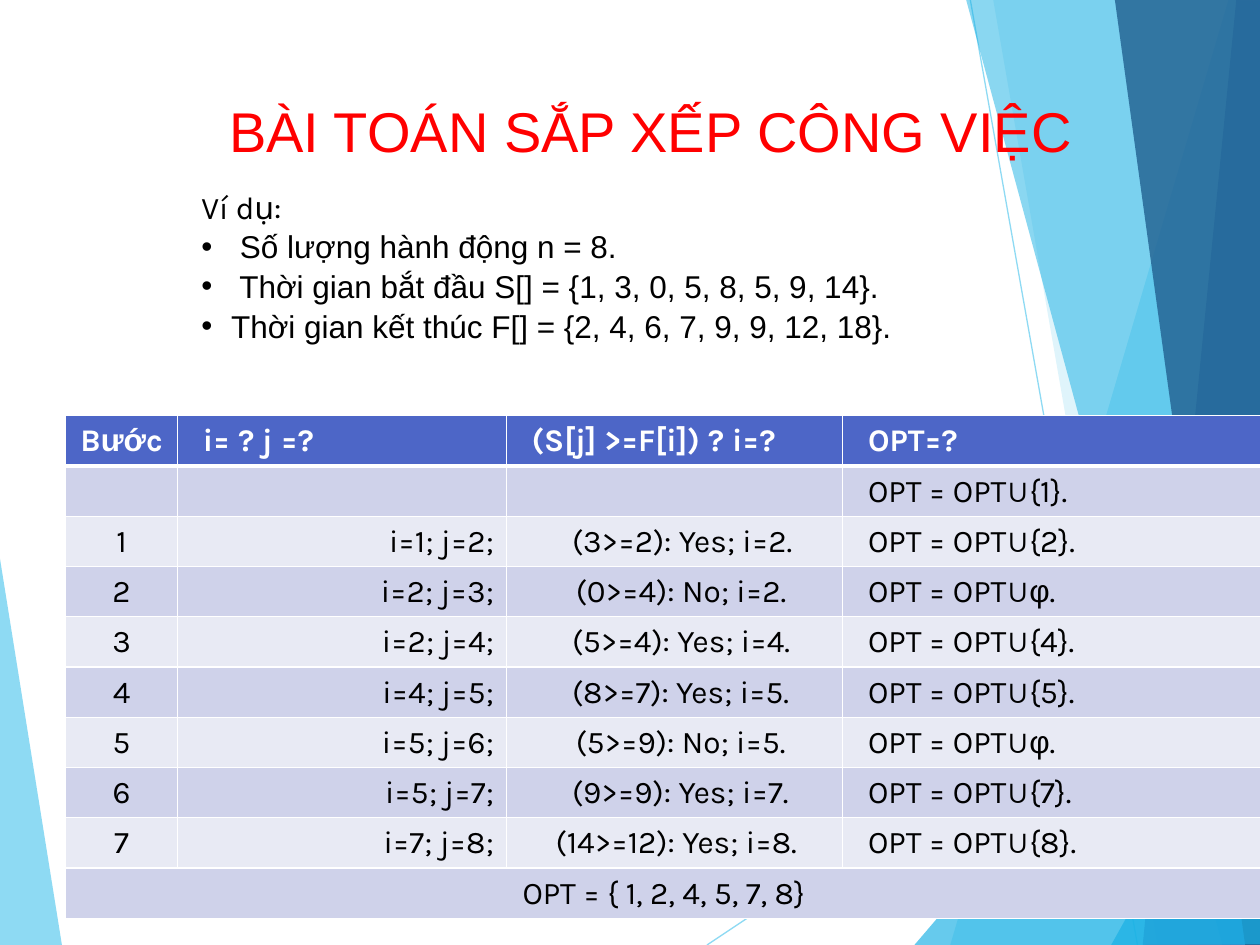
import itertools

import lxml.etree
import pptx
import pptx.dml.color
import pptx.enum.shapes
import pptx.enum.text
import pptx.oxml.ns
import pptx.util

Pt = pptx.util.Pt
Align = pptx.enum.text.PP_ALIGN
qn = pptx.oxml.ns.qn
add_xml = lxml.etree.SubElement


def colour(target, value, opacity=100):
    target.solid()
    target.fore_color.rgb = pptx.dml.color.RGBColor.from_string(value)
    if opacity < 100:
        node = next(page.shapes[-1].element.spPr.iter(qn("a:srgbClr")))
        add_xml(node, qn("a:alpha"), val=str(opacity * 1000))


def write(para, text, fallback, formats):
    for special, letters in itertools.groupby(text, lambda letter: letter in fallback):
        span = para.add_run()
        span.text = "".join(letters)
        for name, value in formats.items():
            if name == "color":
                colour(span.font.fill, value)
            else:
                setattr(span.font, name, value)
        if special:
            span.font.name = "Arial"


deck = pptx.Presentation()
deck.slide_width, deck.slide_height = Pt(720), Pt(540)
page = deck.slides.add_slide(deck.slide_layouts[6])

facets = [
    ("5FCBEF", 70, [(-0.5, 316), (35.5, 540.5), (-0.5, 540)]),
    ("5FCBEF", 70, [(404, 540), (720.5, 329)]),
    ("5FCBEF", 70, [(554.5, 0), (650, 540)]),
    ("5FCBEF", 36, [(702, 0), (543, 540), (721, 540.5), (720.5, 0.5)]),
    ("5FCBEF", 20, [(567.5, -0.5), (661.5, 540), (720.5, 540), (720.5, -0.5)]),
    ("17B0E4", 66, [(522.5, 540), (720, 309), (720.5, 540)]),
    ("17B0E4", 50, [(552, -0.5), (698.5, 540), (720.5, 539.5), (720.5, -0.5)]),
    ("2E83C3", 70, [(706.5, -0.5), (653, 540), (720.5, 540), (720, -0.5)]),
    ("236292", 82, [(637, -0.5), (711.5, 540), (721.5, 540), (720, -0.5)]),
    ("17B0E4", 66, [(635, 540), (721.5, 385), (721.5, 539.5)]),
]
for value, opacity, corners in facets:
    points = [(Pt(x), Pt(y)) for x, y in corners]
    if len(points) == 2:
        line = page.shapes.add_connector(
            pptx.enum.shapes.MSO_CONNECTOR.STRAIGHT, *points[0], *points[1])
        line.line.width = Pt(0.75)
        colour(line.line.fill, value, opacity)
        add_xml(line.element.spPr, qn("a:effectLst"))
    else:
        builder = page.shapes.build_freeform(*points[0])
        builder.add_line_segments(points[1:], close=True)
        facet = builder.convert_to_shape()
        facet.shadow.inherit = False
        facet.line.fill.background()
        colour(facet.fill, value, opacity)

title = page.shapes.add_textbox(Pt(123.84), Pt(48.24), Pt(594), Pt(38.16))
title.text_frame.word_wrap = True
title.text_frame.margin_top = Pt(7.2)
title.text_frame.margin_bottom = Pt(0)
write(title.text_frame.paragraphs[0], "BÀI TOÁN SẮP XẾP CÔNG VIỆC", "",
      {"name": "Arial", "size": Pt(32), "color": "FF0000"})

steps = [
    ("i=1; j=2;", "(3>=2): Yes; i=2.", "{2}"),
    ("i=2; j=3;", "(0>=4): No; i=2.", "φ"),
    ("i=2; j=4;", "(5>=4): Yes; i=4.", "{4}"),
    ("i=4; j=5;", "(8>=7): Yes; i=5.", "{5}"),
    ("i=5; j=6;", "(5>=9): No; i=5.", "φ"),
    ("i=5; j=7;", "(9>=9): Yes; i=7.", "{7}"),
    ("i=7; j=8;", "(14>=12): Yes; i=8.", "{8}"),
]
rows = [("Bước", "i= ? j =?", "(S[j] >=F[i]) ? i=?", "OPT=?"),
        ("", "", "", "OPT = OPT∪{1}.")]
for number, (pair, test, added) in enumerate(steps, 1):
    rows.append((str(number), pair, test, f"OPT = OPT∪{added}."))
rows.append(("OPT = { 1, 2, 4, 5, 7, 8}", "", "", ""))

widths = [64.08, 187.92, 192.24, 239.76]
row_height = 28.73
frame = page.shapes.add_table(len(rows), len(widths), Pt(37.44), Pt(237.6),
                              Pt(sum(widths)), Pt(row_height * len(rows)))
table = frame.table
table.horz_banding = False
for column, width in zip(table.columns, widths):
    column.width = Pt(width)
for row in table.rows:
    row.height = Pt(row_height)

last = len(rows) - 1
for r, texts in enumerate(rows):
    for c, text in enumerate(texts):
        cell = table.cell(r, c)
        cell.margin_top, cell.margin_bottom = Pt(4), Pt(0)
        borders = {
            "a:lnL": 0.45 if c == 1 else 0.75,
            "a:lnR": 0.45 if c == 0 and r < last else 0.75,
            "a:lnT": 2.1 if r == 1 else 0.75,
            "a:lnB": 2.1 if r == 0 else 0.75,
        }
        for side, weight in borders.items():
            border = add_xml(cell._tc.tcPr, qn(side), w=str(Pt(weight)))
            add_xml(add_xml(border, qn("a:solidFill")), qn("a:srgbClr"), val="FFFFFF")
        colour(cell.fill, "4D66C7" if r == 0 else "CFD2EA" if r % 2 else "E8EAF4")
        para = cell.text_frame.paragraphs[0]
        para.font.size = Pt(18)
        if c == 0:
            para.alignment = Align.CENTER
        elif c == 1 and r > 0:
            para.alignment = Align.RIGHT
        else:
            indent = 7.2
            if c == 2 and r > 1:
                indent = 32.4 if "No" in text else 20.88 if "14" in text else 30.24
            para._p.get_or_add_pPr().set("marL", str(Pt(indent)))
        write(para, text, "ướ∪φ",
              {"name": "Karla", "size": Pt(18), "bold": r == 0,
               "color": "FFFFFF" if r == 0 else "000000"})
table.cell(last, 0).merge(table.cell(last, len(widths) - 1))

example = page.shapes.add_textbox(Pt(108), Pt(103.68), Pt(509.76), Pt(115.2))
example.text_frame.word_wrap = True
para = example.text_frame.paragraphs[0]
write(para, "Ví dụ:", "", {"name": "Karla", "size": Pt(18), "color": "000000"})
for text in [" Số lượng hành động n = 8.",
             " Thời gian bắt đầu S[] = {1, 3, 0, 5, 8, 5, 9, 14}.",
             "Thời gian kết thúc F[] = {2, 4, 6, 7, 9, 9, 12, 18}."]:
    para = example.text_frame.add_paragraph()
    properties = para._p.get_or_add_pPr()
    properties.set("marL", str(Pt(17)))
    properties.set("indent", str(Pt(-17)))
    add_xml(add_xml(properties, qn("a:buClr")), qn("a:srgbClr"), val="000000")
    add_xml(properties, qn("a:buFont"), typeface="Arial")
    add_xml(properties, qn("a:buChar"), char="•")
    para.line_spacing = 1.05
    write(para, text, "", {"name": "Arial", "size": Pt(18), "color": "000000"})

deck.save("out.pptx")
